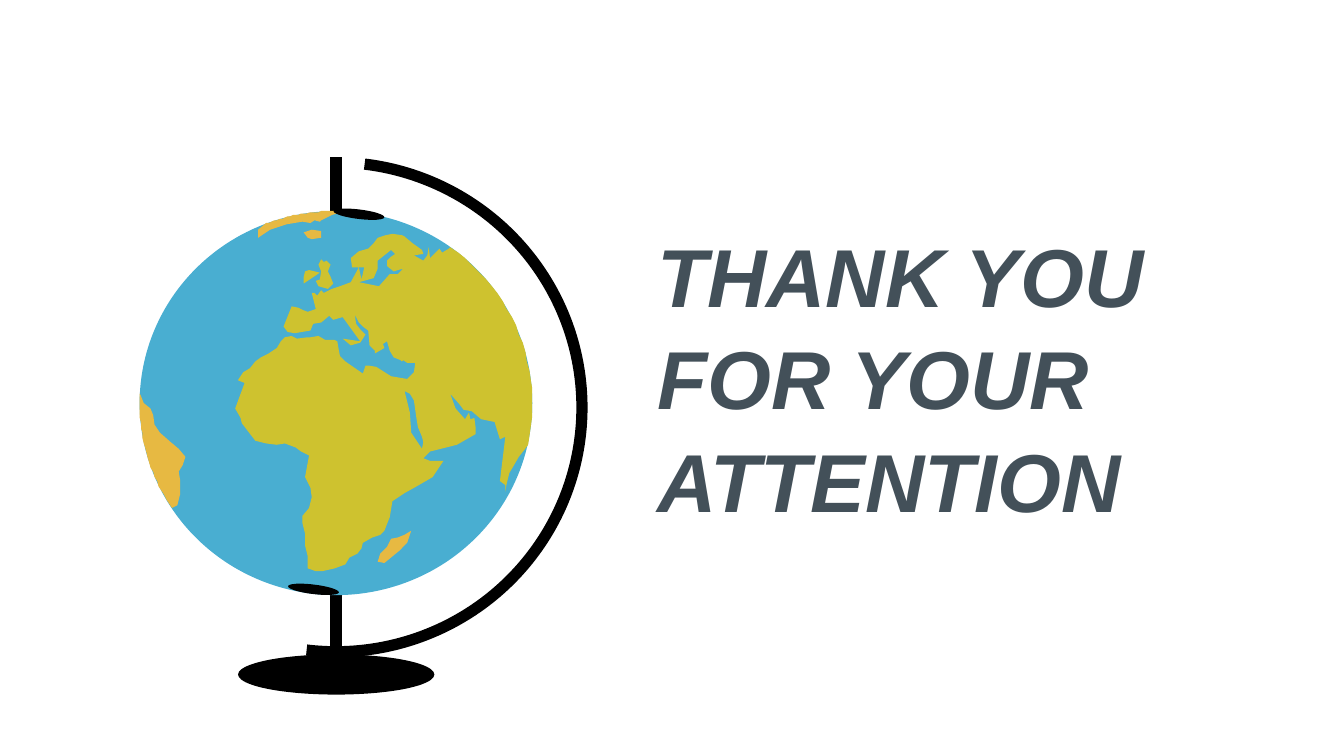
from math import cos, radians, sin

from lxml import etree
from pptx import Presentation
from pptx.dml.color import RGBColor
from pptx.enum.shapes import MSO_CONNECTOR, MSO_SHAPE
from pptx.enum.text import MSO_AUTO_SIZE
from pptx.oxml.ns import qn
from pptx.util import Cm, Pt

STRAIGHT = MSO_CONNECTOR.STRAIGHT
OVAL = MSO_SHAPE.OVAL
ARC = MSO_SHAPE.ARC
GROW = MSO_AUTO_SIZE.SHAPE_TO_FIT_TEXT

BLACK = RGBColor(0x00, 0x00, 0x00)
OCEAN = RGBColor(0x49, 0xAE, 0xD1)
GREEN = RGBColor(0xCE, 0xC2, 0x2F)
AMBER = RGBColor(0xE7, 0xB9, 0x42)
SLATE = RGBColor(0x43, 0x50, 0x59)

STAND_WIDTH = Pt(6)
TILT = 6.9

# Map grid: globe centre and radii in grid units
GRID = Cm(0.0254)
CENTRE_X, CENTRE_Y = 250, 300
RADIUS_X, RADIUS_Y = 146, 143

# Coastlines in grid units
BALTIC = """291,186 294,189 291,191 288,194 288,198 293,202 296,201 300,200 296,204
290,204 282,213 267,210 278,207 281,200 281,194"""
RED_SEA = """301,291 305,293 308,298 309,305 310,312 311,318 314,325 315,329 314,334
306,322 305,307"""
EUROPE = """292,174 287,175 281,177 278,181 274,185 267,187 261,192 262,199
271,199 269,208 267,199 261,210 253,213 247,215 241,218 239,216 236,220 234,218
232,218 235,230 229,232 226,231 222,229 217,228 211,243 214,247 219,248 231,246
233,241 239,240 245,235 248,238 255,236 268,254 255,252 261,257 268,255 272,249
268,245 265,241 264,234 267,240 270,243 274,246 275,257 279,261 279,263 286,259
285,256 288,254 290,261 293,266 298,268 299,269 300,268 303,270 309,270"""
AFRICA_NORTH = """308,277 303,282 291,280 280,273 274,272 272,272 270,278 257,269
253,265 252,260 251,254 249,253 243,253 242,253 237,250 231,251 229,251 221,252
217,250 212,251 209,254 206,259 200,263 194,266 190,269 186,274 181,277 177,283
182,285 175,304 179,311 180,315 190,328 198,330 206,331 212,330 220,333 224,336"""
AFRICA_SOUTH = """230,339 227,355 231,363 232,370 230,378 225,384 225,389 227,397
227,406 229,414 229,423 235,425 240,425 249,423 257,420 260,415 266,412 269,408
270,404 277,400 283,398 286,395 288,390 290,385 292,373 301,367 310,362 322,355
330,343 320,343 315,341"""
ARABIA_AND_INDIA = """320,336 324,335 340,331 354,323 354,319 353,311 350,312 349,307
346,312 339,304 335,293 342,301 345,305 351,306 358,312 368,314 372,327 376,325
372,358 376,361 376,366 377,360 379,352 382,347 386,340 390,335"""
ARCTIC_COAST = """334,185 329,188 327,185 320,192 319,184 318,190 315,194 308,190
315,189 314,186 307,181 301,176 299,175"""
SOUTH_AMERICA = """132,376 134,368 134,357 133,351 136,346 138,340 133,334 127,329
119,322 115,316 114,309 112,304 107,300 105,295"""
GREENLAND = """192,171 192,177 201,171 213,167 225,165 231,166 234,164 238,165 239,164
247,160 257,157"""
MADAGASCAR = """306,395 301,398 296,400 291,401 288,407 283,412 281,418 286,419
297,410 303,404"""
BRITAIN = """239,193 237,197 239,202 238,208 235,209 237,213 244,215 248,211 246,206
244,202 246,197 243,194 241,195"""
ICELAND = "232,171 226,173 229,177 232,178 239,177 239,172"
IRELAND = "230,201 227,202 226,206 226,211 238,203"


def coast(*parts):
    """Turn lists of "x,y" pairs into points."""
    return [tuple(int(value) for value in pair.split(","))
            for part in parts for pair in part.split()]


def rim(start, end, steps=24):
    """Points along the edge of the globe between two angles."""
    angles = [radians(start + (end - start) * step / steps) for step in range(steps + 1)]
    return [(CENTRE_X + RADIUS_X * cos(angle), CENTRE_Y + RADIUS_Y * sin(angle))
            for angle in angles]


def paint(shape, color):
    shape.shadow.inherit = False
    shape.fill.solid()
    shape.fill.fore_color.rgb = color
    shape.line.fill.background()


def add_land(shapes, color, *outlines):
    builder = shapes.build_freeform(*outlines[0][0], scale=GRID)
    for index, outline in enumerate(outlines):
        if index:
            builder.move_to(*outline[0])
        builder.add_line_segments(outline[1:], close=True)
    paint(builder.convert_to_shape(), color)


def add_oval(shapes, left, top, width, height, color, rotation=0):
    oval = shapes.add_shape(OVAL, Cm(left), Cm(top), Cm(width), Cm(height))
    oval.rotation = rotation
    paint(oval, color)


def draw_stand_line(shape):
    shape.line.color.rgb = BLACK
    shape.line.width = STAND_WIDTH


def add_pole(shapes):
    pole = shapes.add_connector(STRAIGHT, Cm(6.35), Cm(2.97), Cm(6.35), Cm(12.45))
    draw_stand_line(pole)
    etree.SubElement(pole._element.spPr, qn("a:effectLst"))


def add_bracket(shapes):
    bracket = shapes.add_shape(ARC, Cm(1.68), Cm(3.07), Cm(9.32), Cm(9.25))
    bracket.adjustments[0] = 162.03
    bracket.adjustments[1] = 53.97
    bracket.rotation = 6.8
    bracket.shadow.inherit = False
    bracket.fill.background()
    draw_stand_line(bracket)


def add_globe(page):
    shapes = page.shapes.add_group_shape().shapes
    add_pole(shapes)
    add_bracket(shapes)
    add_oval(shapes, 2.64, 3.99, 7.42, 7.26, OCEAN)

    # Land
    southern_coast = coast(EUROPE, AFRICA_NORTH, AFRICA_SOUTH, ARABIA_AND_INDIA)
    mainland = southern_coast + rim(12.5, -54.4) + coast(ARCTIC_COAST)
    add_land(shapes, GREEN, coast(BALTIC), coast(RED_SEA), mainland)
    add_land(shapes, AMBER, rim(183, 147) + coast(SOUTH_AMERICA))
    add_land(shapes, AMBER, rim(269, 249) + coast(GREENLAND))
    for island, color in ((MADAGASCAR, AMBER), (BRITAIN, GREEN),
                          (ICELAND, AMBER), (IRELAND, GREEN)):
        add_land(shapes, color, coast(island))

    # Pole caps and foot
    for left, top in ((6.3, 3.96), (5.44, 11.05)):
        add_oval(shapes, left, top, 0.97, 0.18, BLACK, TILT)
    add_oval(shapes, 4.5, 12.37, 3.71, 0.76, BLACK)


def add_closing_text(page):
    box = page.shapes.add_textbox(Cm(12.17), Cm(4.06), Cm(12.7), Cm(5.89))
    frame = box.text_frame
    frame.word_wrap = True
    frame.auto_size = GROW
    frame.text = "THANK YOU FOR YOUR ATTENTION"
    para = frame.paragraphs[0]
    para.line_spacing = 1.04
    font = para.runs[0].font
    font.name = "Arial"
    font.size = Pt(44)
    font.bold = True
    font.italic = True
    font.color.rgb = SLATE


def main():
    deck = Presentation()
    deck.slide_width = Cm(25.4)
    deck.slide_height = Cm(14.29)
    page = deck.slides.add_slide(deck.slide_layouts[6])
    add_globe(page)
    add_closing_text(page)
    deck.save("out.pptx")


if __name__ == "__main__":
    main()
